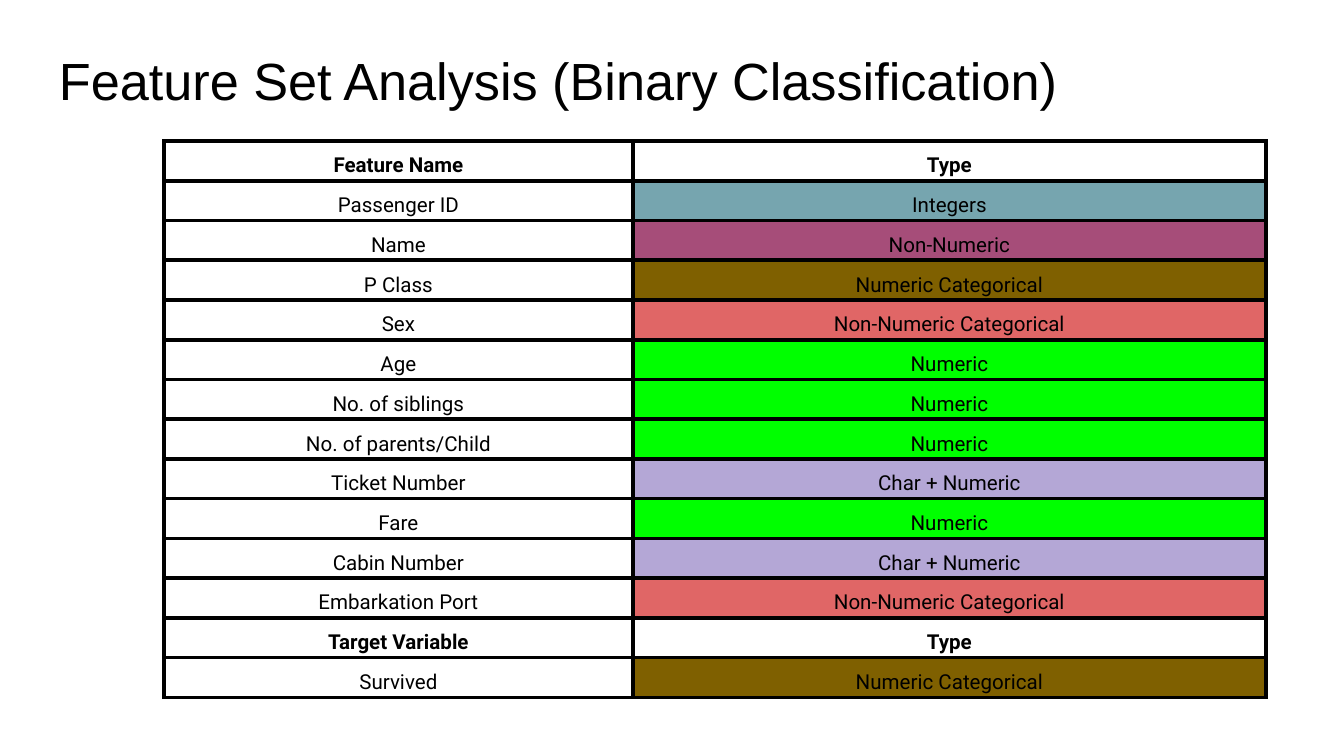
"""Build a slide listing each feature and its data type in a table."""
from lxml.etree import SubElement
from pptx import Presentation
from pptx.dml.color import RGBColor
from pptx.enum.text import MSO_ANCHOR as Anchor, PP_ALIGN as Align
from pptx.oxml.ns import qn
from pptx.util import Emu, Pt

COLORS = {
    "Ink": "000000",
    "Integers": "76A5AF",
    "Non-Numeric": "A64D79",
    "Numeric Categorical": "7F6000",
    "Non-Numeric Categorical": "E06666",
    "Numeric": "00FF00",
    "Char + Numeric": "B4A7D6",
}
ROWS = [
    ("Feature Name", "Type"),
    ("Passenger ID", "Integers"),
    ("Name", "Non-Numeric"),
    ("P Class", "Numeric Categorical"),
    ("Sex", "Non-Numeric Categorical"),
    ("Age", "Numeric"),
    ("No. of siblings", "Numeric"),
    ("No. of parents/Child", "Numeric"),
    ("Ticket Number", "Char + Numeric"),
    ("Fare", "Numeric"),
    ("Cabin Number", "Char + Numeric"),
    ("Embarkation Port", "Non-Numeric Categorical"),
    ("Target Variable", "Type"),
    ("Survived", "Numeric Categorical"),
]
COLUMN_WIDTHS = (469, 633)
TABLE_HEIGHT = 557


def px(length):
    return Emu(round(length * 914400 / 134.4))


def add_text(para, text, font, size, bold=False):
    span = para.add_run()
    span.text = text
    span.font.name = font
    span.font.size = Pt(size)
    span.font.bold = bold
    span.font.color.rgb = RGBColor.from_string(COLORS["Ink"])


deck = Presentation()
deck.slide_width, deck.slide_height = px(1344), px(756)
page = deck.slides.add_slide(deck.slide_layouts[5])

title = page.shapes.title
title.left, title.top, title.width, title.height = px(46), px(30), px(1252), px(84)
box = title.text_frame
box.word_wrap = True
box.vertical_anchor = Anchor.TOP
box.margin_left = box.margin_right = px(13)
box.margin_top, box.margin_bottom = px(18), px(8)
box.paragraphs[0].alignment = Align.LEFT
add_text(box.paragraphs[0], "Feature Set Analysis (Binary Classification)", "Arial", 28)

table = page.shapes.add_table(
    len(ROWS), 2, px(164), px(141), px(sum(COLUMN_WIDTHS)), px(TABLE_HEIGHT)
).table
table.first_row = table.horz_banding = False
for column, width in zip(table.columns, COLUMN_WIDTHS):
    column.width = px(width)

for row, labels in zip(table.rows, ROWS):
    row.height = px(TABLE_HEIGHT / len(ROWS))
    for cell, label in zip(row.cells, labels):
        cell.vertical_anchor = Anchor.BOTTOM
        cell.margin_left = cell.margin_right = px(4)
        cell.margin_top = cell.margin_bottom = px(3)

        properties = cell._tc.get_or_add_tcPr()
        for side in ("lnL", "lnR", "lnT", "lnB"):
            border = SubElement(properties, qn(f"a:{side}"), w=str(Pt(2.25)))
            fill = SubElement(border, qn("a:solidFill"))
            SubElement(fill, qn("a:srgbClr"), val=COLORS["Ink"])
        if label in COLORS:
            cell.fill.solid()
            cell.fill.fore_color.rgb = RGBColor.from_string(COLORS[label])
        else:
            cell.fill.background()

        para = cell.text_frame.paragraphs[0]
        para.alignment = Align.CENTER
        para.line_spacing = 1.15
        add_text(para, label, "Roboto", 11, bold=labels[1] == "Type")

deck.save("out.pptx")
